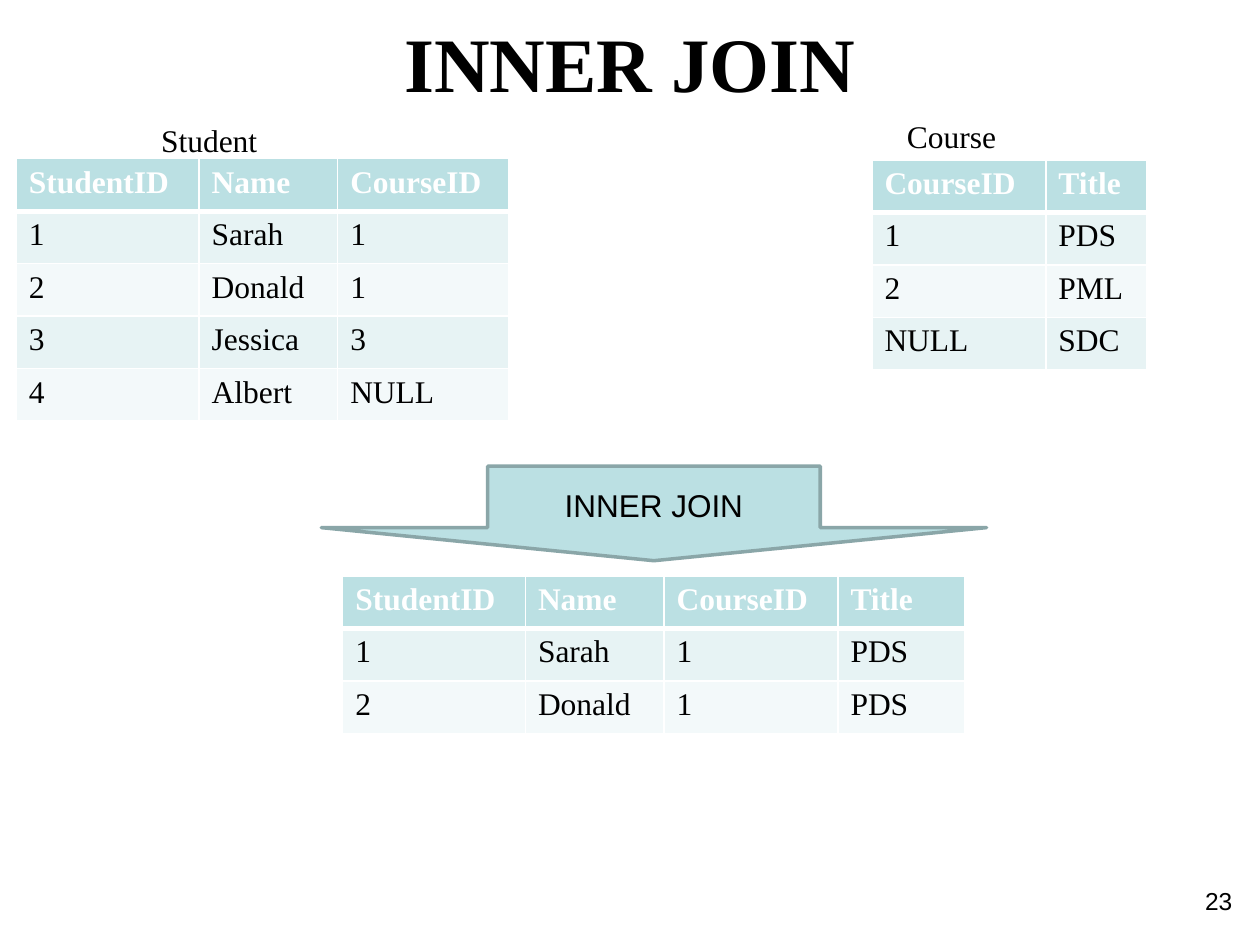
from dataclasses import dataclass

from lxml import etree
from pptx import Presentation
from pptx.dml.color import RGBColor
from pptx.enum.shapes import MSO_SHAPE
from pptx.enum.text import MSO_ANCHOR, MSO_AUTO_SIZE, PP_ALIGN
from pptx.oxml.ns import qn
from pptx.util import Inches, Pt

LEFT, CENTER, RIGHT = PP_ALIGN.LEFT, PP_ALIGN.CENTER, PP_ALIGN.RIGHT
TOP, MIDDLE = MSO_ANCHOR.TOP, MSO_ANCHOR.MIDDLE
GROW, FIXED = MSO_AUTO_SIZE.SHAPE_TO_FIT_TEXT, MSO_AUTO_SIZE.NONE
DOWN_ARROW = MSO_SHAPE.DOWN_ARROW
TITLE_ONLY = 5

SLIDE_WIDTH, SLIDE_HEIGHT = Inches(10), Inches(7.5)
UNIT = SLIDE_WIDTH / 100  # side of one square grid cell: 100 columns, 75 rows
ROW_HEIGHT = Pt(30)


@dataclass(frozen=True)
class Theme:
    serif: str = "Times New Roman"
    sans: str = "Arial"
    ink: str = "000000"
    paper: str = "FFFFFF"
    accent: str = "BBE0E3"
    accent_line: str = "8AA6A8"
    bands: tuple[str, str] = ("E7F3F4", "F3F9FA")
    title_size: int = 44
    body_size: int = 18
    number_size: int = 14
    thin_rule: int = 1
    header_rule: int = 3
    arrow_rule: int = 2


THEME = Theme()


@dataclass(frozen=True)
class Box:
    """A place on the grid, in columns and rows."""
    col: float
    row: float
    cols: float
    rows: float

    def emu(self) -> list[int]:
        return [round(n * UNIT) for n in (self.col, self.row, self.cols, self.rows)]


@dataclass(frozen=True)
class Label:
    text: str
    box: Box
    font: str = THEME.serif
    size: int = THEME.body_size
    align: int = LEFT
    auto_size: int = GROW


@dataclass(frozen=True)
class Relation:
    col: float
    row: float
    fields: tuple[str, ...]
    records: tuple[tuple[str, ...], ...]


# Width of each field, in grid columns
FIELD_WIDTHS = {"StudentID": 14.5, "Name": 11, "CourseID": 13.8, "Title": 10.1}

RELATIONS = {
    "course": Relation(69.2, 12.7, ("CourseID", "Title"),
                       (("1", "PDS"), ("2", "PML"), ("NULL", "SDC"))),
    "student": Relation(1.3, 12.6, ("StudentID", "Name", "CourseID"),
                        (("1", "Sarah", "1"), ("2", "Donald", "1"),
                         ("3", "Jessica", "3"), ("4", "Albert", "NULL"))),
    "joined": Relation(27.2, 45.7, ("StudentID", "Name", "CourseID", "Title"),
                       (("1", "Sarah", "1", "PDS"), ("2", "Donald", "1", "PDS"))),
}
# Widths that differ from the usual ones
WIDTH_CHANGES = {"course": {"Title": 8}, "student": {"CourseID": 13.6}}

LABELS = (
    Label("Course", Box(71, 8.8, 18.4, 4)),
    Label("Student", Box(11.8, 9.1, 11.2, 4)),
    Label("23", Box(75.5, 69.8, 23.3, 5.2), THEME.sans, THEME.number_size, RIGHT, FIXED),
)


def apply(target, values: dict) -> None:
    for attribute, value in values.items():
        setattr(target, attribute, value)


def write(frame, text: str, font: str, size: int, align: int = LEFT,
          color: str = THEME.ink, bold: bool = False):
    paragraph = frame.paragraphs[0]
    paragraph.alignment = align
    run = paragraph.add_run()
    run.text = text
    apply(run.font, {"name": font, "size": Pt(size), "bold": bold})
    run.font.color.rgb = RGBColor.from_string(color)
    return paragraph


def add_title(slide, text: str) -> None:
    title = slide.shapes.title
    apply(title, dict(zip(("left", "top", "width", "height"), Box(0, 0.7, 100, 8.4).emu())))
    apply(title.text_frame, {"word_wrap": True, "auto_size": GROW, "vertical_anchor": TOP})
    paragraph = write(title.text_frame, text, THEME.serif, THEME.title_size, CENTER, bold=True)
    paragraph.space_before = Pt(5)


def add_label(slide, label: Label) -> None:
    frame = slide.shapes.add_textbox(*label.box.emu()).text_frame
    apply(frame, {"word_wrap": True, "auto_size": label.auto_size})
    write(frame, label.text, label.font, label.size, label.align)


def set_borders(cell, widths: dict[str, int]) -> None:
    properties = cell._tc.get_or_add_tcPr()
    for position, (side, width) in enumerate(widths.items()):
        line = etree.Element(qn(f"a:ln{side}"), w=str(Pt(width)))
        fill = etree.SubElement(line, qn("a:solidFill"))
        etree.SubElement(fill, qn("a:srgbClr"), val=THEME.paper)
        properties.insert(position, line)  # borders come before the fill


def add_relation(slide, relation: Relation, changes: dict[str, float]) -> None:
    widths = [changes.get(field, FIELD_WIDTHS[field]) for field in relation.fields]
    rows = (relation.fields, *relation.records)
    left, top, width, _ = Box(relation.col, relation.row, sum(widths), 0).emu()
    table = slide.shapes.add_table(len(rows), len(widths), left, top, width,
                                   ROW_HEIGHT * len(rows)).table
    for column, field_width in zip(table.columns, widths):
        column.width = round(field_width * UNIT)
    for r, values in enumerate(rows):
        header = r == 0
        fill = THEME.accent if header else THEME.bands[(r - 1) % 2]
        borders = {"L": THEME.thin_rule, "R": THEME.thin_rule,
                   "T": THEME.header_rule if r == 1 else THEME.thin_rule,
                   "B": THEME.header_rule if header else THEME.thin_rule}
        for c, value in enumerate(values):
            cell = table.cell(r, c)
            cell.fill.solid()
            cell.fill.fore_color.rgb = RGBColor.from_string(fill)
            set_borders(cell, borders)
            write(cell.text_frame, value, THEME.serif, THEME.body_size,
                  color=THEME.paper if header else THEME.ink, bold=header)


def add_join_arrow(slide, text: str, box: Box) -> None:
    arrow = slide.shapes.add_shape(DOWN_ARROW, *box.emu())
    arrow.shadow.inherit = False
    arrow.adjustments[0], arrow.adjustments[1] = 0.5, 0.35
    arrow.fill.solid()
    arrow.fill.fore_color.rgb = RGBColor.from_string(THEME.accent)
    arrow.line.color.rgb = RGBColor.from_string(THEME.accent_line)
    arrow.line.width = Pt(THEME.arrow_rule)
    etree.SubElement(arrow.line._get_or_add_ln(), qn("a:round"))
    apply(arrow.text_frame, {"word_wrap": True, "vertical_anchor": MIDDLE})
    write(arrow.text_frame, text, THEME.sans, THEME.body_size, CENTER)


def main() -> None:
    deck = Presentation()
    apply(deck, {"slide_width": SLIDE_WIDTH, "slide_height": SLIDE_HEIGHT})
    slide = deck.slides.add_slide(deck.slide_layouts[TITLE_ONLY])

    add_title(slide, "INNER JOIN")
    # Source tables, and the result below them
    for name, relation in RELATIONS.items():
        add_relation(slide, relation, WIDTH_CHANGES.get(name, {}))
    # Table names and slide number
    for label in LABELS:
        add_label(slide, label)
    # The step from sources to result
    add_join_arrow(slide, "INNER JOIN", Box(25.5, 37, 52.8, 7.5))

    deck.save("out.pptx")


if __name__ == "__main__":
    main()
